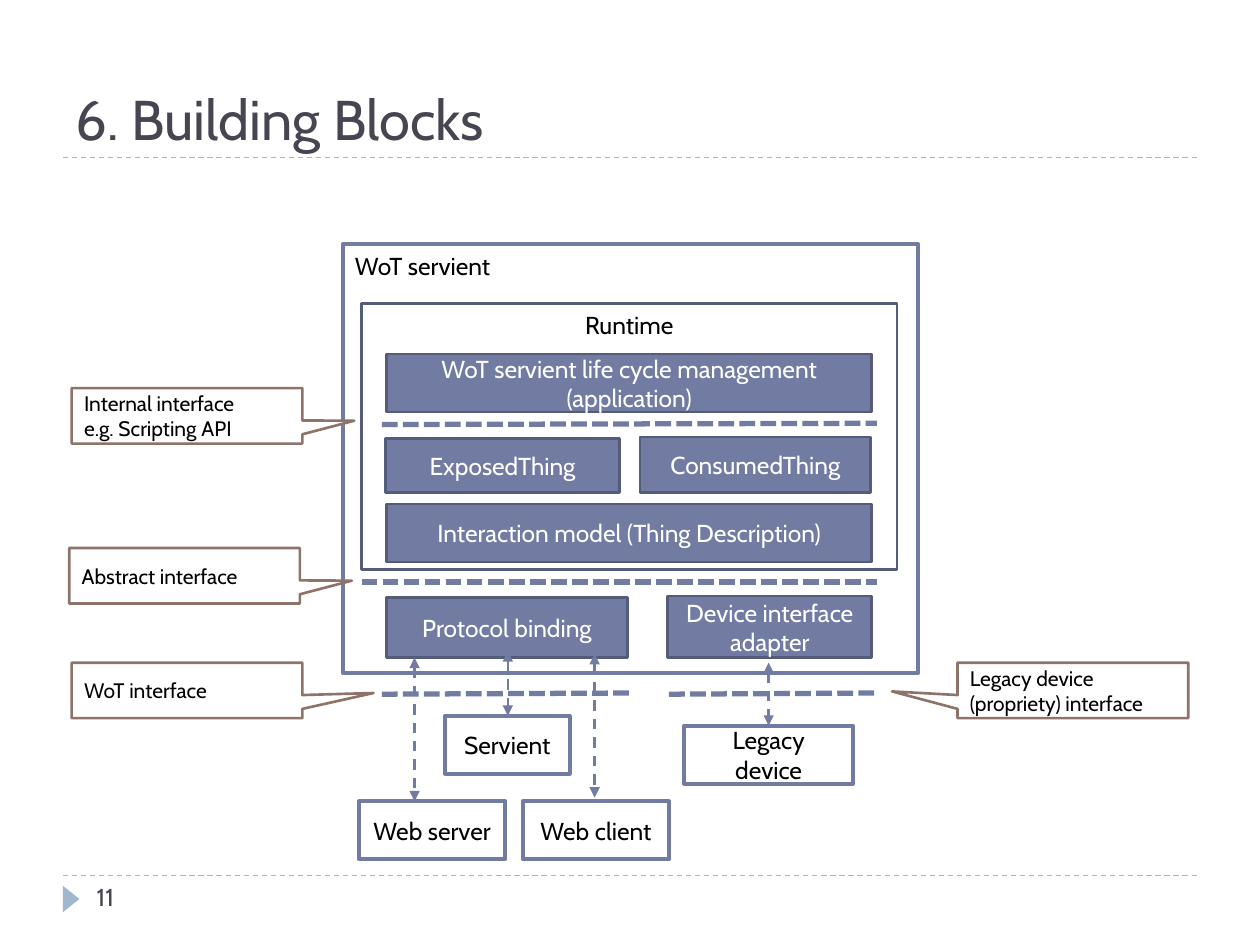
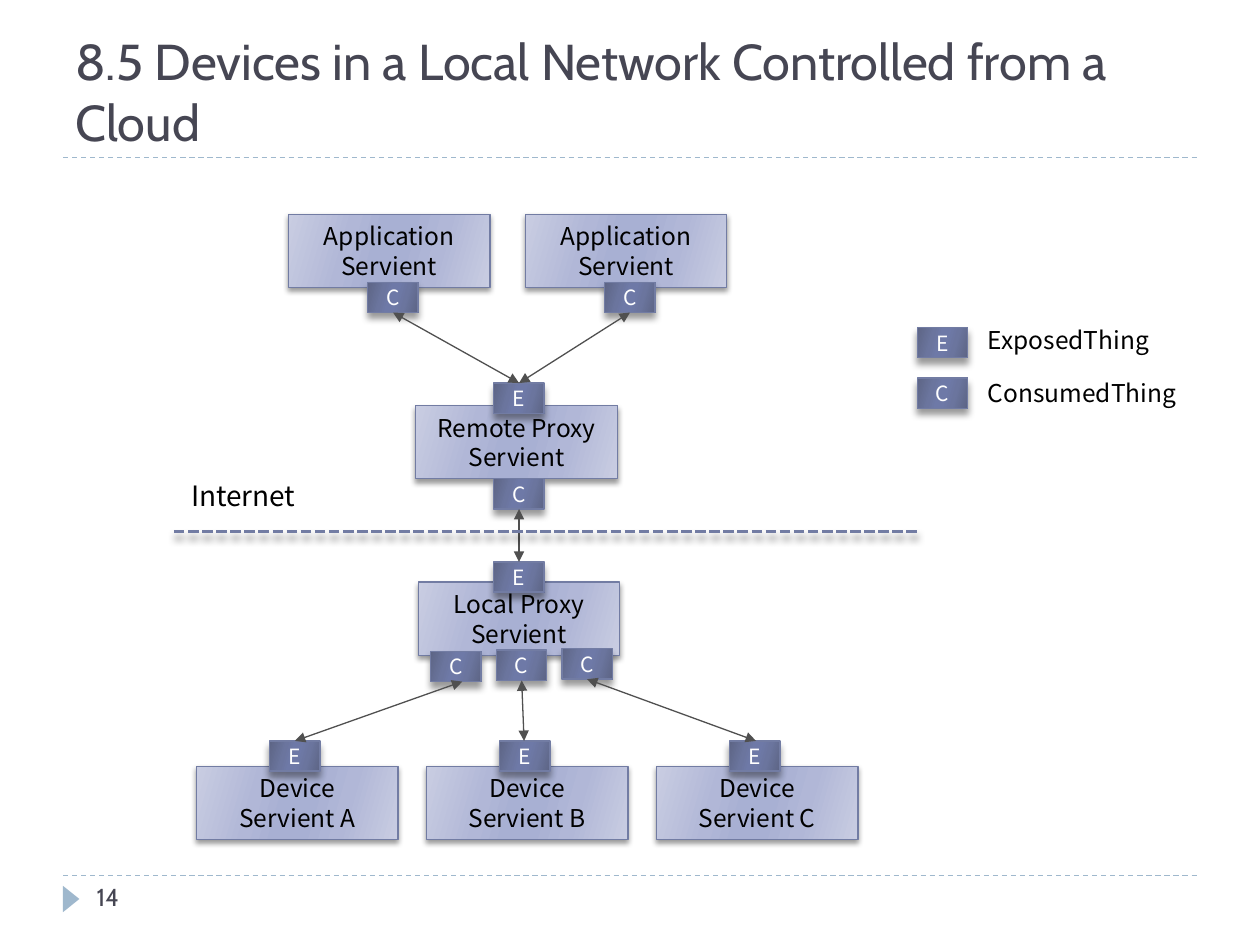
import pptx
import pptx.dml.color
import pptx.enum.dml
import pptx.enum.shapes
import pptx.enum.text
import pptx.oxml.ns
import pptx.util
from lxml import etree

Pt = pptx.util.Pt
RGB = pptx.dml.color.RGBColor
SHAPE = pptx.enum.shapes.MSO_SHAPE
DASH = pptx.enum.dml.MSO_LINE
ANCHOR = pptx.enum.text.MSO_ANCHOR
ALIGN = pptx.enum.text.PP_ALIGN
qn = pptx.oxml.ns.qn

BLACK = RGB(0x00, 0x00, 0x00)
WHITE = RGB(0xFF, 0xFF, 0xFF)
INK = RGB(0x46, 0x46, 0x53)
PALE_BLUE = RGB(0x9F, 0xB8, 0xCD)
SLATE = RGB(0x72, 0x7C, 0xA3)
DARK_SLATE = RGB(0x54, 0x5C, 0x79)
BROWN = RGB(0x8E, 0x73, 0x6A)
GREY = RGB(0x50, 0x50, 0x50)
# Outer, inner and middle colour of the mirrored gradients
LIGHT_SHEEN = RGB(0xC9, 0xCD, 0xE2), RGB(0xB1, 0xB7, 0xD7), RGB(0xA8, 0xB0, 0xD3)
DARK_SHEEN = RGB(0x5D, 0x65, 0x85), RGB(0x6B, 0x75, 0x9E), RGB(0x6E, 0x79, 0xA7)

CABIN = "Cabin"
NOTO = "Noto Sans CJK JP"


def add_box(slide, kind, box, text="", size=14, color=BLACK, font=CABIN, fill=None,
            line=None, width=1.5, align=ALIGN.CENTER, anchor=ANCHOR.MIDDLE,
            wrap=True, side_inset=7.2):
    """Add a preset shape, or a text box when kind is None."""
    place = [Pt(length) for length in box]
    if kind is None:
        shape = slide.shapes.add_textbox(*place)
    else:
        shape = slide.shapes.add_shape(kind, *place)
        shape.shadow.inherit = False
        if fill is None:
            shape.fill.background()
        else:
            shape.fill.solid()
            shape.fill.fore_color.rgb = fill
        if line is None:
            shape.line.fill.background()
        else:
            shape.line.color.rgb = line
            shape.line.width = Pt(width)
    frame = shape.text_frame
    frame.word_wrap = wrap
    frame.vertical_anchor = anchor
    frame.margin_left = frame.margin_right = Pt(side_inset)
    frame.text = text
    for paragraph in frame.paragraphs:
        paragraph.alignment = align
        for run in paragraph.runs:
            run.font.size = Pt(size)
            run.font.name = font
            run.font.color.rgb = color
    return shape


def add_line(slide, start, end, color, width, dash=None, arrows=False):
    connector = slide.shapes.add_connector(
        pptx.enum.shapes.MSO_CONNECTOR.STRAIGHT, *[Pt(v) for v in (*start, *end)])
    connector.line.color.rgb = color
    connector.line.width = Pt(width)
    if dash:
        connector.line.dash_style = dash
    properties = connector._element.spPr
    if arrows:
        for tip in ("a:headEnd", "a:tailEnd"):
            etree.SubElement(properties.find(qn("a:ln")), qn(tip), type="triangle")
    etree.SubElement(properties, qn("a:effectLst"))
    return connector


deck = pptx.Presentation()
deck.slide_width, deck.slide_height = Pt(720), Pt(540)

# Shared frame: title, dashed rules, page marker and number
slides = []
for title, title_size, number in (
        ("6. Building Blocks", 32, "11"),
        ("8.5 Devices in a Local Network Controlled from a Cloud", 28.8, "14")):
    slide = deck.slides.add_slide(deck.slide_layouts[6])
    for y in (500.4, 90):
        add_line(slide, (36, y), (684, y), PALE_BLUE, 0.75, DASH.DASH)
    marker = add_box(slide, SHAPE.ISOSCELES_TRIANGLE, (33.1, 509, 15.1, 9.4), fill=PALE_BLUE)
    marker.rotation = 90
    add_box(slide, None, (36, 18, 648, 72), title, title_size, INK,
            align=ALIGN.LEFT, anchor=ANCHOR.BOTTOM)
    add_box(slide, None, (48.2, 500.4, 156.2, 28.8), number, 14, INK,
            align=ALIGN.LEFT, anchor=ANCHOR.TOP)
    slides.append(slide)
blocks, cloud = slides

# Slide 1: servient and runtime outlines
add_box(blocks, SHAPE.RECTANGLE, (195.8, 139.7, 329, 244.8), "WoT servient",
        line=SLATE, width=2.25, align=ALIGN.LEFT, anchor=ANCHOR.TOP)
add_box(blocks, SHAPE.RECTANGLE, (206.6, 173.5, 306, 151.9), "Runtime",
        line=DARK_SLATE, anchor=ANCHOR.TOP)

# Building blocks inside the servient
for text, box in (
        ("WoT servient life cycle management (application)", (221, 202.3, 277.2, 33.1)),
        ("ExposedThing", (220.3, 250.6, 133.9, 31)),
        ("ConsumedThing", (365.8, 249.8, 131.8, 31.7)),
        ("Interaction model (Thing Description)", (221, 288, 277.2, 33.1)),
        ("Protocol binding", (221, 341.3, 137.5, 34.6)),
        ("Device interface adapter", (381.6, 340.6, 116.6, 35.3))):
    add_box(blocks, SHAPE.RECTANGLE, box, text, color=WHITE, fill=SLATE, line=DARK_SLATE)

# Peers outside the servient
for text, left, top, width, inset in (
        ("Servient", 254.2, 409, 71.3, 7.2),
        ("Web server", 205.2, 457.9, 83.5, 3),
        ("Web client", 298.8, 457.9, 83.5, 3),
        ("Legacy device", 391, 414.7, 96.5, 7.2)):
    add_box(blocks, SHAPE.RECTANGLE, (left, top, width, 33.1), text, fill=WHITE,
            line=SLATE, width=2.25, side_inset=inset)

# Arrows to the peers
for x, top, bottom in ((236.9, 375.8, 457.9), (339.8, 373.7, 455.8),
                       (290.2, 372.2, 409), (439.2, 378.7, 414.7)):
    add_line(blocks, (x, top), (x, bottom), SLATE, 1.5, DASH.DASH, arrows=True)

# Interface boundaries
for start, end in (((218.2, 242.6), (501.1, 241.9)), ((206.6, 332.6), (501.1, 332.6)),
                   ((218.2, 396.7), (362.2, 396)), ((382.3, 396.7), (501.8, 396))):
    add_line(blocks, start, end, SLATE, 3, DASH.SQUARE_DOT)

# Callouts naming the interfaces
for text, left, top, tip_x, tip_y in (
        ("Internal interface\ne.g. Scripting API", 41, 221.8, 0.725, 0.088),
        ("Abstract interface", 39.6, 313.2, 0.725, 0.088),
        ("WoT interface", 41, 378.7, 0.809, 0.047),
        ("Legacy device (propriety) interface", 547.2, 378.7, -0.784, 0.018)):
    callout = add_box(blocks, SHAPE.RECTANGULAR_CALLOUT, (left, top, 131.8, 31.7), text,
                      12, fill=WHITE, line=BROWN, align=ALIGN.LEFT)
    callout.adjustments[0], callout.adjustments[1] = tip_x, tip_y

# Slide 2: servients, then the badges that sit on their edges
DEVICE_STEP = 131.4
servients = [("Application Servient", 164.9, 122.4), ("Application Servient", 300.2, 122.4),
             ("Remote Proxy Servient", 237.6, 231.8), ("Local Proxy Servient", 239, 332.6)]
badges = [("C", 210.2, 161.3), ("C", 345.6, 161.3), ("E", 282.2, 218.9),
          ("C", 282.2, 273.6), ("E", 282.2, 321.1), ("E", 524.2, 187.2), ("C", 524.2, 216)]
for i, device in enumerate("ABC"):
    servients.append((f"Device Servient {device}", 112.3 + i * DEVICE_STEP, 437.8))
    badges.append(("E", 154.1 + i * DEVICE_STEP, 423.4))
    badges.append(("C", 246.2 + i * 37.45, 372.2 - i * 0.7))

glossy = []
shadowed = []
for text, left, top in servients:
    servient = add_box(cloud, SHAPE.RECTANGLE, (left, top, 115.2, 41.8), text, font=NOTO,
                       line=SLATE, width=0.75)
    glossy.append((servient, LIGHT_SHEEN))
    shadowed.append((servient, 3, 2))
for text, left, top in badges:
    badge = add_box(cloud, SHAPE.RECTANGLE, (left, top, 28.8, 17.3), text, 12, WHITE, NOTO,
                    line=SLATE, width=0.75, wrap=False)
    glossy.append((badge, DARK_SHEEN))
    shadowed.append((badge, 4, 3.4))

# Gradient running from the outer colour to the middle and back
for shape, (outer, inner, middle) in glossy:
    shape.fill.gradient()
    shape.fill.gradient_angle = 344
    stops = shape._element.spPr.find(".//" + qn("a:gsLst"))
    for stop in list(stops):
        stops.remove(stop)
    for percent, color in ((0, outer), (30, inner), (45, middle),
                           (55, middle), (73, inner), (100, outer)):
        stop = etree.SubElement(stops, qn("a:gs"), pos=str(percent * 1000))
        etree.SubElement(stop, qn("a:srgbClr"), val=str(color))

# Links between the things
for start, end in (((296.6, 218.9), (360, 178.6)), ((296.6, 218.9), (224.6, 178.6)),
                   ((296.6, 321.1), (296.6, 290.9)), ((299.5, 423.4), (298.1, 388.8)),
                   ((168.5, 423.4), (264.2, 389.5)), ((432, 423.4), (335.5, 388.1))):
    add_line(cloud, start, end, GREY, 0.75, arrows=True)

# Internet boundary
boundary = add_line(cloud, (99.4, 303.8), (524.2, 303.8), SLATE, 2, DASH.SQUARE_DOT)
shadowed.append((boundary, 4, 3.4))

# Soft shadows falling straight down
for shape, blur, distance in shadowed:
    effects = shape._element.spPr.find(qn("a:effectLst"))
    shadow = etree.SubElement(effects, qn("a:outerShdw"), blurRad=str(Pt(blur)),
                              dist=str(Pt(distance)), dir="5400000", rotWithShape="0")
    shade = etree.SubElement(shadow, qn("a:srgbClr"), val=str(BLACK))
    etree.SubElement(shade, qn("a:alpha"), val="40000")

# Legend and boundary label
for text, box, size in (("ExposedThing", (557.3, 182.2, 110.2, 24.5), 14),
                        ("ConsumedThing", (557.3, 212.4, 126, 24.5), 14),
                        ("Internet", (102.2, 270, 78.5, 26.6), 16)):
    add_box(cloud, None, box, text, size, font=NOTO, align=ALIGN.LEFT,
            anchor=ANCHOR.TOP, wrap=text == "Internet")

deck.save("out.pptx")
